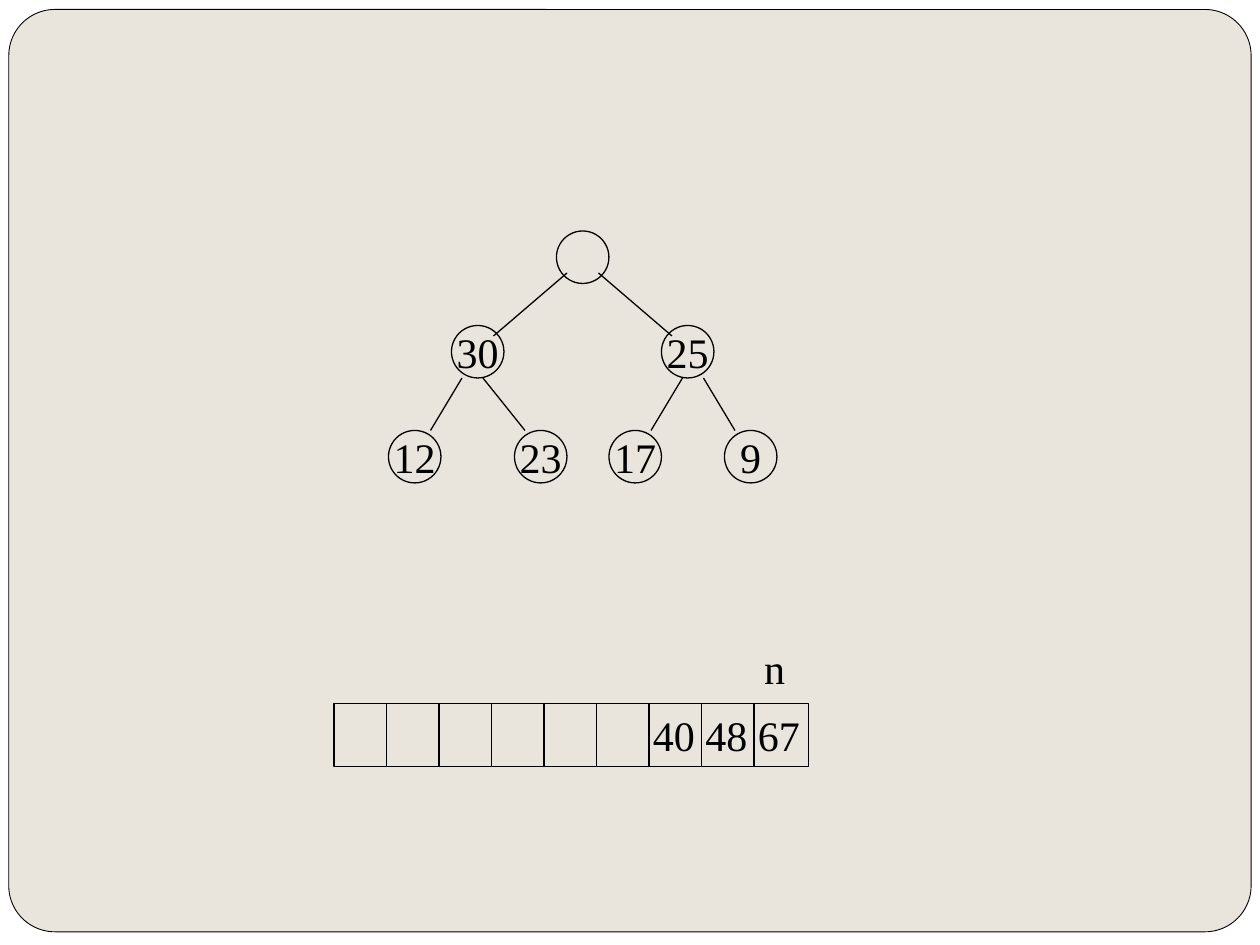
from lxml.etree import SubElement
from pptx import Presentation
from pptx.dml.color import RGBColor
from pptx.enum.shapes import MSO_CONNECTOR, MSO_SHAPE
from pptx.enum.text import MSO_ANCHOR, MSO_AUTO_SIZE, PP_ALIGN
from pptx.oxml.ns import qn
from pptx.util import Inches, Pt

BLACK = RGBColor(0x00, 0x00, 0x00)
WHITE = RGBColor(0xFF, 0xFF, 0xFF)
SAND = RGBColor(0xE9, 0xE5, 0xDC)

COLS, ROWS = 120, 90
UNIT = Inches(10) / COLS
NODE = 5
CELL = 5
FONT = {"name": "Times New Roman", "size": Pt(24)}

NODES = [("", 16, 0), ("30", 6, 9), ("25", 26, 9),
         ("12", 0, 19), ("23", 12, 19), ("17", 21, 19), ("9", 32, 19)]
EDGES = [(17, 4, 10, 10), (20, 4, 27, 10), (7, 14, 4, 19),
         (9, 14, 13, 19), (28, 14, 25, 19), (30, 14, 33, 19)]


def grid(*values):
    return [round(v * UNIT) for v in values]


def add_box(s, kind, box, fill=None, width=0.75):
    sp = s.shapes.add_shape(kind, *grid(*box))
    sp.shadow.inherit = False
    if fill is None:
        sp.fill.background()
    else:
        sp.fill.solid()
        sp.fill.fore_color.rgb = fill
    if width:
        sp.line.color.rgb = BLACK
        sp.line.width = Pt(width)
    else:
        sp.line.fill.background()
    return sp


def add_line(s, x1, y1, x2, y2):
    cx = s.shapes.add_connector(MSO_CONNECTOR.STRAIGHT, *grid(x1, y1, x2, y2))
    cx.line.color.rgb = BLACK
    cx.line.width = Pt(0.75)
    SubElement(cx._element.spPr, qn("a:effectLst"))


def write(sp, text, align, **frame):
    tf = sp.text_frame
    for key, value in {"word_wrap": False, **frame}.items():
        setattr(tf, key, value)
    p = tf.paragraphs[0]
    p.alignment = align
    r = p.add_run()
    r.text = text
    for key, value in FONT.items():
        setattr(r.font, key, value)
    r.font.color.rgb = BLACK


def add_label(s, text, box):
    sp = s.shapes.add_textbox(*grid(*box))
    write(sp, text, PP_ALIGN.LEFT, auto_size=MSO_AUTO_SIZE.SHAPE_TO_FIT_TEXT)


def add_backdrop(s, x, y, w, h):
    s.background.fill.solid()
    s.background.fill.fore_color.rgb = SAND
    add_box(s, MSO_SHAPE.RECTANGLE, (x, y, w, h), WHITE, 0)
    panel = (x + 0.007 * w, y + 0.01 * h, 0.986 * w, 0.976 * h)
    sp = add_box(s, MSO_SHAPE.ROUNDED_RECTANGLE, panel, SAND, 0.5)
    sp.adjustments[0] = 0.05


def add_heap_tree(s, x, y):
    for text, dx, dy in NODES:
        sp = add_box(s, MSO_SHAPE.OVAL, (x + dx, y + dy, NODE, NODE))
        if text:
            write(sp, text, PP_ALIGN.CENTER, vertical_anchor=MSO_ANCHOR.MIDDLE)
    for x1, y1, x2, y2 in EDGES:
        add_line(s, x + x1, y + y1, x + x2, y + y2)


def add_sorted_array(s, x, y, w, h):
    add_box(s, MSO_SHAPE.RECTANGLE, (x, y, w, h))
    add_label(s, "40 48 67", (x + 29.2, y, 16.4, h))
    for i in range(1, 9):
        add_line(s, x + i * CELL, y, x + i * CELL, y + h)
    add_label(s, "n", (x + 39.8, y - 6.4, 4.4, h))


def main():
    prs = Presentation()
    prs.slide_width, prs.slide_height = grid(COLS, ROWS)
    s = prs.slides.add_slide(prs.slide_layouts[6])
    add_backdrop(s, 0, 0, COLS, ROWS)
    add_heap_tree(s, 37, 22)
    add_sorted_array(s, 31.8, 67, 45.2, 6)
    prs.save("out.pptx")


if __name__ == "__main__":
    main()
